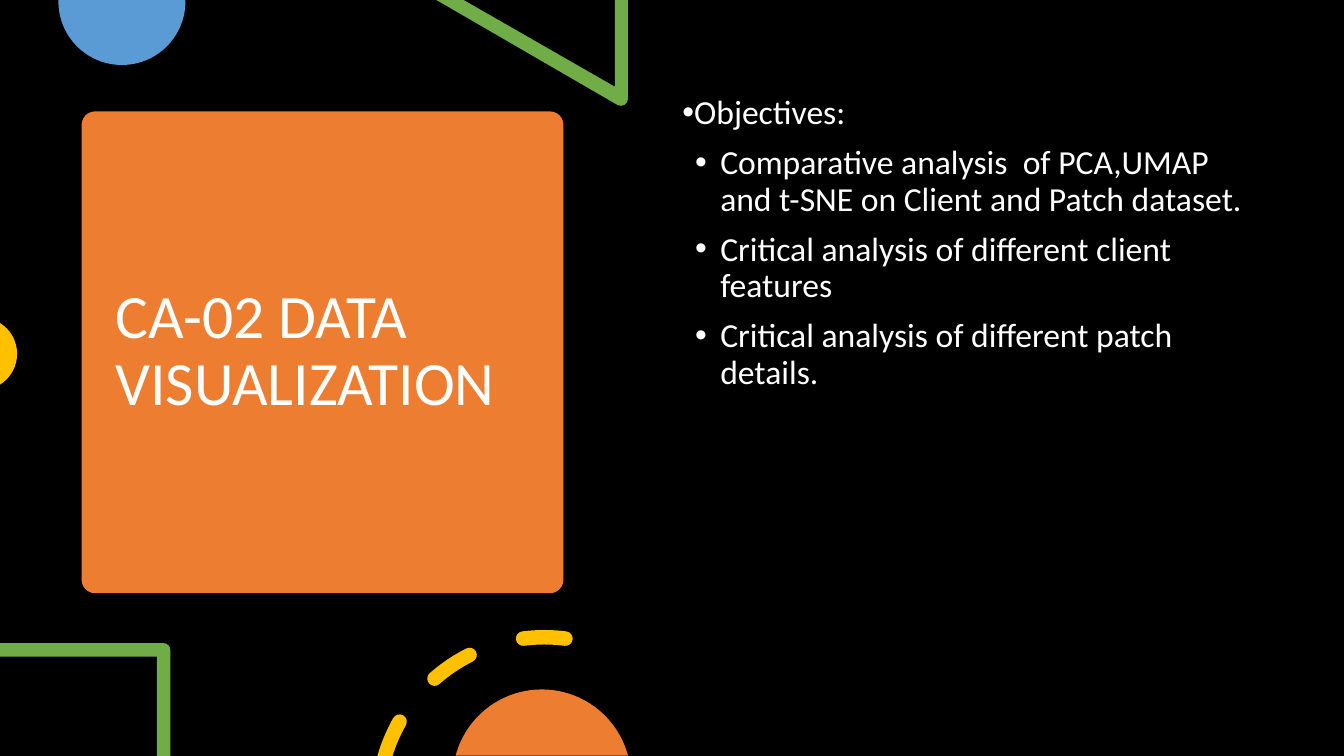
from dataclasses import dataclass
from math import ceil, cos, radians, sin, tan

from lxml.etree import SubElement
from pptx import Presentation
from pptx.dml.color import RGBColor
from pptx.enum.shapes import MSO_SHAPE
from pptx.enum.text import MSO_ANCHOR, MSO_AUTO_SIZE, PP_ALIGN
from pptx.oxml.ns import qn
from pptx.util import Inches, Pt

CELL = Inches(0.1)  # side of one grid square
COLUMNS, ROWS = 133.33, 75


@dataclass(frozen=True)
class Theme:
    font: str = "Calibri"
    title_size: int = 44
    body_size: int = 24
    paragraph_gap: int = 10
    line_spacing: float = 0.9
    background: str = "000000"
    text: str = "FFFFFF"
    orange: str = "ED7D31"
    blue: str = "5B9BD5"
    green: str = "70AD47"
    yellow: str = "FFC000"


@dataclass(frozen=True)
class Box:
    """A region in grid columns and rows."""
    left: float
    top: float
    width: float
    height: float

    @property
    def right(self):
        return self.left + self.width

    @property
    def bottom(self):
        return self.top + self.height

    @property
    def middle(self):
        return self.left + self.width / 2

    def inset(self, across, down):
        return Box(self.left + across, self.top + down,
                   self.width - 2 * across, self.height - 2 * down)


THEME = Theme()
OBJECTIVES = [
    "Objectives:",
    "Comparative analysis  of PCA,UMAP and t-SNE on Client and Patch dataset.",
    "Critical analysis of different client features",
    "Critical analysis of different patch details.",
]


def cells(count):
    return round(count * CELL)


def place(shape, box):
    shape.left, shape.top = cells(box.left), cells(box.top)
    shape.width, shape.height = cells(box.width), cells(box.height)


def paint(shape, color):
    shape.fill.solid()
    shape.fill.fore_color.rgb = RGBColor.from_string(color)
    shape.line.fill.background()
    shape.shadow.inherit = False


def arc(center_x, center_y, radius, start, end):
    """First point and curves of an arc; degrees run clockwise from the right."""
    pieces = ceil(abs(end - start) / 90)
    turn = radians(end - start) / pieces
    handle = radius * 4 / 3 * tan(turn / 4)

    def point(angle, along=0):
        return (center_x + radius * cos(angle) - along * sin(angle),
                center_y + radius * sin(angle) + along * cos(angle))

    angles = [radians(start) + turn * piece for piece in range(pieces + 1)]
    curves = [[point(a, handle), point(b, -handle), point(b)]
              for a, b in zip(angles, angles[1:])]
    return [[point(angles[0])], *curves]


def corners(*points):
    return [[point] for point in points]


def draw_outline(slide, contours, color):
    """Each contour lists steps: one point for a line, three for a curve."""
    builder = None
    for contour in contours:
        first, *rest = [(cells(x), cells(y)) for step in contour for x, y in step]
        if builder is None:
            builder = slide.shapes.build_freeform(*first)
        else:
            builder.move_to(*first)
        builder.add_line_segments(rest, close=True)
    shape = builder.convert_to_shape()
    paint(shape, color)

    # Join the three points of each curve into one Bezier step
    outline = shape.element.find(".//" + qn("a:path"))
    lines = iter(outline.findall(qn("a:lnTo")))
    for step in [step for contour in contours for step in contour[1:]]:
        line = next(lines)
        if len(step) == 3:
            line.tag = qn("a:cubicBezTo")
            for extra in (next(lines), next(lines)):
                line.append(extra[0])
                outline.remove(extra)


def format_paragraph(paragraph, size, space_before=0):
    paragraph.alignment = PP_ALIGN.LEFT
    paragraph.line_spacing = THEME.line_spacing
    paragraph.space_before = Pt(space_before)
    for run in paragraph.runs:
        run.font.name = THEME.font
        run.font.size = Pt(size)
        run.font.color.rgb = RGBColor.from_string(THEME.text)


def add_bullet(paragraph, margin):
    properties = paragraph._p.get_or_add_pPr()
    properties.set("marL", str(cells(margin)))
    properties.set("indent", str(cells(-2.5)))
    SubElement(properties, qn("a:buFont")).set("typeface", "Arial")
    SubElement(properties, qn("a:buChar")).set("char", "•")


def fill_frame(placeholder, box, text, anchor):
    place(placeholder, box)
    frame = placeholder.text_frame
    frame.text = text
    frame.word_wrap = True
    frame.auto_size = MSO_AUTO_SIZE.NONE
    frame.vertical_anchor = anchor
    return frame.paragraphs


def title_panel(slide, box):
    panel = slide.shapes.add_shape(MSO_SHAPE.ROUNDED_RECTANGLE, 0, 0, 0, 0)
    place(panel, box)
    panel.adjustments[0] = 0.028
    paint(panel, THEME.orange)

    title = slide.shapes.title
    panel.element.addnext(title.element)  # bring the title in front of its panel
    paragraphs = fill_frame(title, box.inset(2.35, 1.1), "CA-02 DATA VISUALIZATION",
                            MSO_ANCHOR.MIDDLE)
    format_paragraph(paragraphs[0], THEME.title_size)


def objectives_list(slide, box):
    paragraphs = fill_frame(slide.placeholders[1], box, "\n".join(OBJECTIVES), MSO_ANCHOR.TOP)
    for index, paragraph in enumerate(paragraphs):
        format_paragraph(paragraph, THEME.body_size, THEME.paragraph_gap)
        add_bullet(paragraph, 3.75 if index else 0)


def blue_half_circle(slide, box):
    top_edge = corners((box.left, box.top), (box.right, box.top))
    curve = arc(box.middle, box.top + 0.15, box.width / 2, 0, 180)
    draw_outline(slide, [[*top_edge, *curve]], THEME.blue)


def green_triangle(slide, box):
    inner = corners((box.right, box.top), (box.right - 1.3, box.top),
                    (box.right - 1.3, box.bottom - 1.9), (box.left + 2.7, box.top),
                    (box.left, box.top))
    tip = arc(box.right - 0.7, box.bottom - 0.7, 0.7, 120, 0)
    draw_outline(slide, [[*inner, *tip]], THEME.green)


def yellow_circle_edge(slide, box):
    radius = 3.6
    curve = arc(box.right - radius, box.top + box.height / 2, radius, -58, 58)
    draw_outline(slide, [curve], THEME.yellow)


def green_square(slide, box):
    band = 1.35
    tip = arc(box.right - 0.7, box.top + 0.7, 0.7, -90, 0)
    inner = corners((box.right, box.bottom), (box.right - band, box.bottom),
                    (box.right - band, box.top + band), (box.left, box.top + band))
    draw_outline(slide, [[[(box.left, box.top)], *tip, *inner]], THEME.green)


def dashed_ring(slide, box):
    radius, half = 16.5, 0.72
    center = (box.left + 16.6, box.top + half + radius)

    def cap(angle, turn):
        x = center[0] + radius * cos(radians(angle))
        y = center[1] + radius * sin(radians(angle))
        return arc(x, y, half, turn, turn + 180)[1:]

    def dash(start, end):
        return [*arc(*center, radius + half, start, end), *cap(end, end),
                *arc(*center, radius - half, end, start)[1:], *cap(start, start + 180)]

    # The lowest dash is cut flat by the slide's bottom edge
    cut_dash = [*arc(*center, radius + half, -164.2, -150.5), *cap(-150.5, -150.5),
                *arc(*center, radius - half, -150.5, -162.6)[1:]]
    draw_outline(slide, [cut_dash, dash(-131.3, -116.7), dash(-97.3, -82.7)], THEME.yellow)


def orange_dome(slide, box):
    radius = 8.85
    curve = arc(box.middle, box.top + radius, radius, -165, -15)
    draw_outline(slide, [curve], THEME.orange)


def build_slide(presentation):
    slide = presentation.slides.add_slide(presentation.slide_layouts[0])
    slide.background.fill.solid()
    slide.background.fill.fore_color.rgb = RGBColor.from_string(THEME.background)

    # Regions from back to front
    title_panel(slide, Box(8.1, 11.05, 47.8, 47.8))
    blue_half_circle(slide, Box(5.8, 0, 12.6, 6.5))
    green_triangle(slide, Box(43.3, 0, 19, 10.5))
    yellow_circle_edge(slide, Box(0, 32.1, 1.7, 6))
    objectives_list(slide, Box(66.7, 8.97, 57.5, 53.5))
    green_square(slide, Box(0, ROWS - 11.2, 16.9, 11.2))
    dashed_ring(slide, Box(37.4, ROWS - 12.5, 19.4, 12.5))
    orange_dome(slide, Box(45.2, ROWS - 6.6, 17.1, 6.6))


def main():
    presentation = Presentation()
    presentation.slide_width = cells(COLUMNS)
    presentation.slide_height = cells(ROWS)
    build_slide(presentation)
    presentation.save("out.pptx")


if __name__ == "__main__":
    main()
